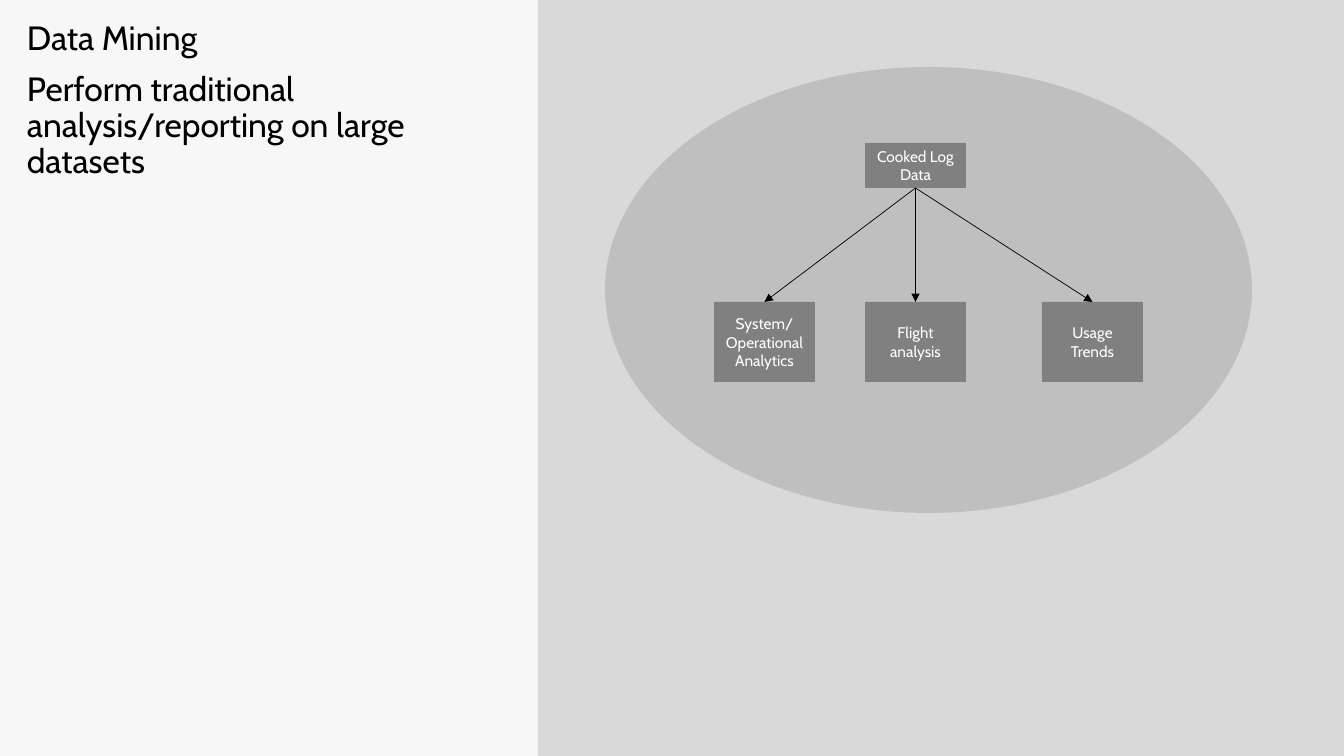
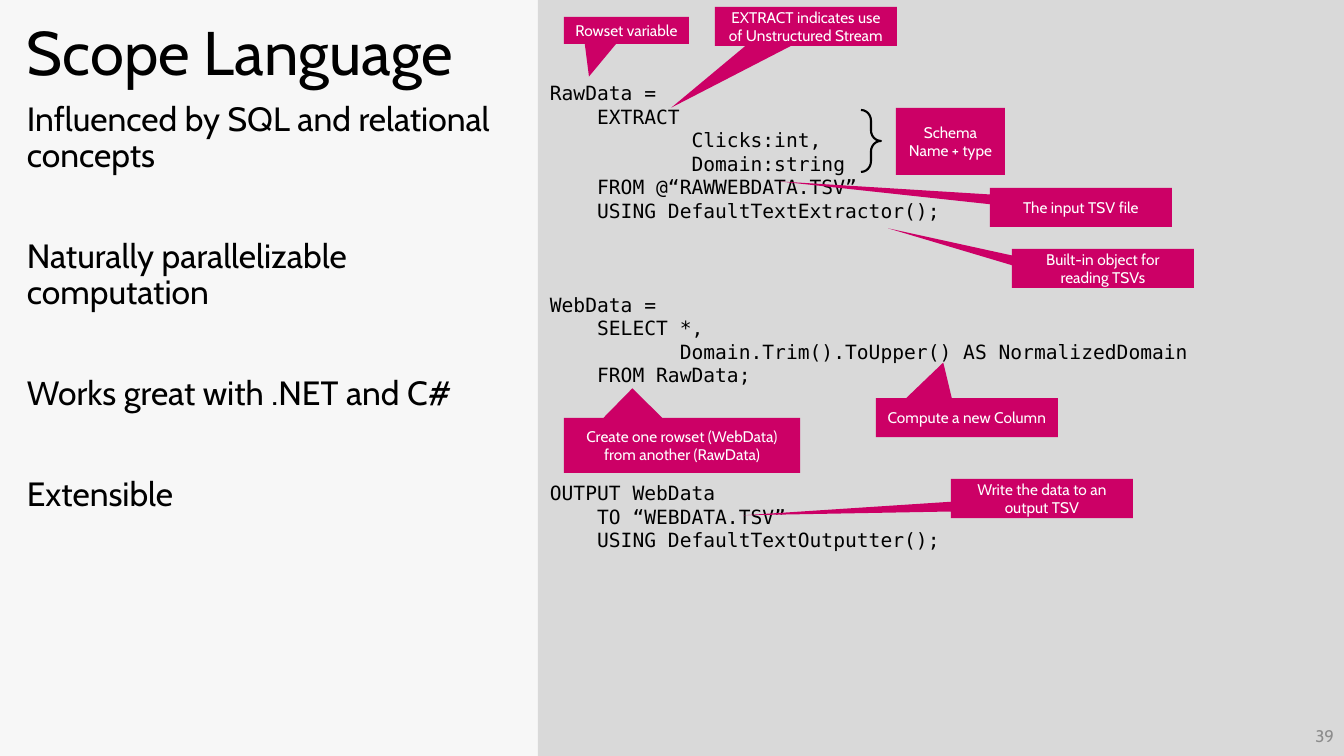
"""Build two slides on data mining and the Scope language."""
import lxml.etree
import pptx
import pptx.dml.color
import pptx.enum.shapes
import pptx.enum.text
import pptx.oxml.ns
import pptx.util

SCALE = 914400 / 100.8
HUES = {"page": "F7F7F7", "panel": "D9D9D9", "oval": "BFBFBF", "node": "808080",
        "note": "CC0066", "ink": "000000", "white": "FFFFFF", "number": "8C8C8C"}
SANS, MONO = "Cabin", "DejaVu Sans Mono"
Pt = pptx.util.Pt
Kind = pptx.enum.shapes.MSO_SHAPE
Align = pptx.enum.text.PP_ALIGN
Anchor = pptx.enum.text.MSO_ANCHOR
qn = pptx.oxml.ns.qn
rgb = {name: pptx.dml.color.RGBColor.from_string(code) for name, code in HUES.items()}


def draw(slide, kind, area, hue=None):
    """Add a flat shape, or a text box when kind is None."""
    spots = [round(v * SCALE) for v in area]
    if kind is None:
        return slide.shapes.add_textbox(*spots)
    shape = slide.shapes.add_shape(kind, *spots)
    shape.shadow.inherit = False
    shape.line.fill.background()
    if hue:
        shape.fill.solid()
        shape.fill.fore_color.rgb = rgb[hue]
    else:
        shape.fill.background()
    return shape


def write(shape, rows, hue="white", face=SANS, align=Align.CENTER,
          anchor=Anchor.MIDDLE, pitch=None):
    """Fill a shape with rows of (text, size, space before)."""
    frame = shape.text_frame
    frame.word_wrap = True
    frame.vertical_anchor = anchor
    for i, (text, size, gap) in enumerate(rows):
        para = frame.paragraphs[0] if i == 0 else frame.add_paragraph()
        para.alignment = align
        para.space_before = Pt(gap)
        if pitch:
            para.line_spacing = pitch
        run = para.add_run()
        run.text = text
        run.font.name = face
        run.font.size = Pt(size)
        run.font.color.rgb = rgb[hue]


deck = pptx.Presentation()
deck.slide_width = round(1344 * SCALE)
deck.slide_height = round(756 * SCALE)
back = deck.slide_master.background.fill
back.solid()
back.fore_color.rgb = rgb["page"]

bodies = [
    [("Data Mining", 24, 0),
     ("Perform traditional analysis/reporting on large datasets", 24, 10)],
    [("Scope Language", 44, 0),
     ("Influenced by SQL and relational concepts", 24, 10),
     ("Naturally parallelizable computation", 24, 46),
     ("Works great with .NET and C#", 24, 46),
     ("Extensible", 24, 46)],
]
pages = []
for body in bodies:
    slide = deck.slides.add_slide(deck.slide_layouts[6])
    draw(slide, Kind.RECTANGLE, (538, 0, 806, 756), "panel")
    write(draw(slide, None, (17, 17, 496, 723)), body, "ink",
          align=Align.LEFT, anchor=Anchor.TOP, pitch=0.9)
    pages.append(slide)
mining, scope = pages

draw(mining, Kind.OVAL, (605, 67, 647, 446), "oval")
root = draw(mining, Kind.RECTANGLE, (865, 143, 101, 45), "node")
write(root, [("Cooked Log Data", 11, 0)])
for left, text in [(714, "System/ Operational Analytics"),
                   (865, "Flight analysis"), (1042, "Usage Trends")]:
    leaf = draw(mining, Kind.RECTANGLE, (left, 302, 101, 80), "node")
    write(leaf, [(text, 11, 0)])
    link = mining.shapes.add_connector(
        pptx.enum.shapes.MSO_CONNECTOR.STRAIGHT, 0, 0, 0, 0)
    link.begin_connect(root, 2)
    link.end_connect(leaf, 0)
    link.line.color.rgb = rgb["ink"]
    link.line.width = Pt(0.5)
    props = link.element.spPr
    lxml.etree.SubElement(props.find(qn("a:ln")), qn("a:tailEnd"), type="triangle")
    lxml.etree.SubElement(props, qn("a:effectLst"))

write(draw(scope, None, (1042, 716, 302, 40)), [("39", 12, 0)], "number",
      align=Align.RIGHT)

pitch = 16.8
blocks = [
    (0, """RawData =
    EXTRACT
            Clicks:int,
            Domain:string
    FROM @“RAWWEBDATA.TSV”
    USING DefaultTextExtractor();"""),
    (3, """WebData =
    SELECT *,
           Domain.Trim().ToUpper() AS NormalizedDomain
    FROM RawData;"""),
    (4, """OUTPUT WebData
    TO “WEBDATA.TSV”
    USING DefaultTextOutputter();"""),
]
code = [(text, 14, 0 if i else skip * pitch)
        for skip, block in blocks for i, text in enumerate(block.split("\n"))]
write(draw(scope, None, (540, 76, 731, 519)), code, "ink", MONO,
      Align.LEFT, Anchor.TOP, Pt(pitch))

brace = draw(scope, Kind.RIGHT_BRACE, (861, 110, 20, 62))
brace.adjustments[0] = 0.53
brace.line.color.rgb = rgb["ink"]
brace.line.width = Pt(1.5)
write(draw(scope, Kind.RECTANGLE, (896, 108, 109, 67), "note"),
      [("Schema", 11, 0), ("Name + type", 11, 0)])

notes = [
    ("Rowset variable", (564, 17, 125, 27), (-0.3, 1.71)),
    ("EXTRACT indicates use of Unstructured Stream", (715, 7, 182, 39), (-0.74, 2.08)),
    ("The input TSV file", (990, 188, 182, 39), (-1.66, -0.67)),
    ("Built-in object for reading TSVs", (1012, 249, 182, 39), (-1.18, -1.03)),
    ("Create one rowset (WebData) from another (RawData)", (564, 418, 236, 55),
     (-0.21, -1.04)),
    ("Compute a new Column", (876, 398, 182, 39), (-0.13, -1.41)),
    ("Write the data to an output TSV", (951, 479, 182, 39), (-1.64, 0.43)),
]
for text, area, tip in notes:
    note = draw(scope, Kind.RECTANGULAR_CALLOUT, area, "note")
    note.adjustments[0], note.adjustments[1] = tip
    write(note, [(text, 11, 0)])

deck.save("out.pptx")
